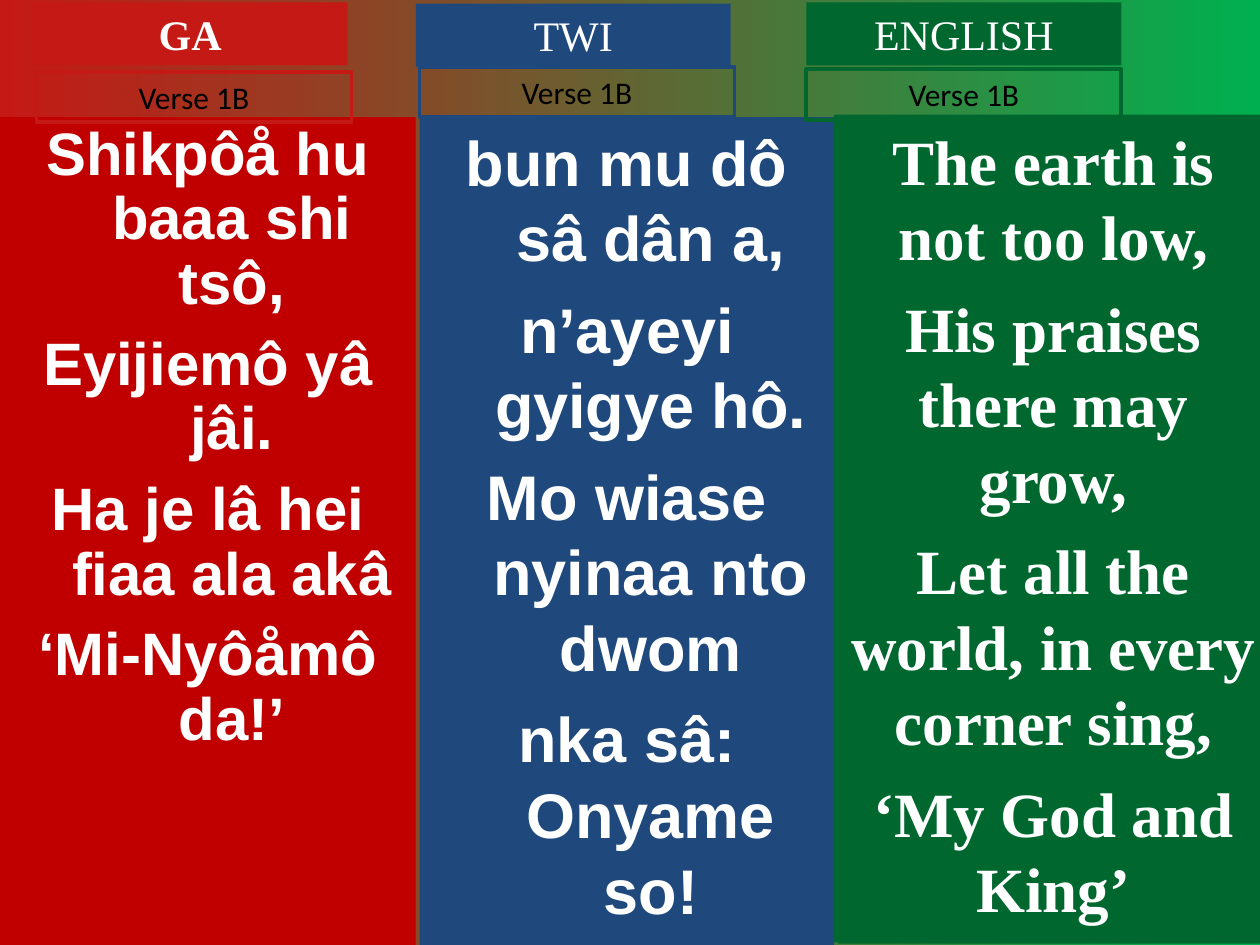
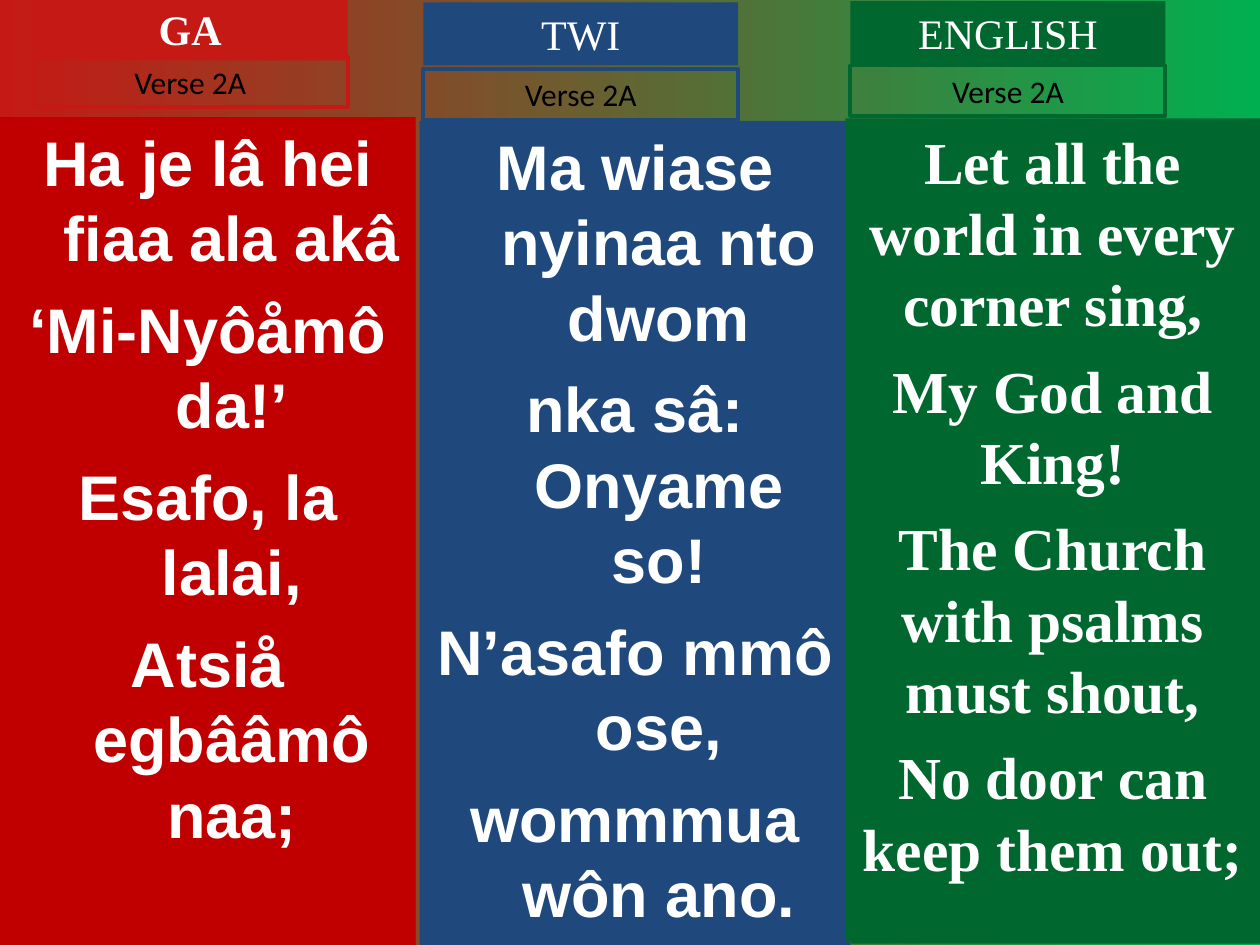
from pptx import Presentation
from pptx.dml.color import RGBColor
from pptx.enum.shapes import MSO_SHAPE as Shape
from pptx.enum.text import MSO_ANCHOR as Anchor, PP_ALIGN as Align
from pptx.util import Inches, Pt

RED, BLUE, GREEN = "C51915", "1F497D", "00682F"
DEEP, LIME, WHITE, BLACK = "C00000", "00B050", "FFFFFF", "000000"
HANG = 0.38
HEAD, VERSE = (2.5, 0.5), (2.5, 0.4)

FONTS = {
    "head": {"name": "Times New Roman", "size": Pt(24)},
    "verse": {"name": "Calibri", "size": Pt(18)},
    "sans": {"name": "Arial", "size": Pt(36), "bold": True},
    "serif": {"name": "Times New Roman", "size": Pt(36), "bold": True},
}

# Each column: title, colours, body font, and the boxes of its parts.
SLIDES = [
    ("Verse 1B", [
        {"title": "GA", "tone": RED, "fill": DEEP, "font": "sans",
         "size": 34.2, "gap": 9.2, "pitch": 0.9,
         "head": (0.26, 0.02), "verse": (0.29, 0.57),
         "panel": (0, 0.93, 3.3, 6.57),
         "lines": ["Shikpôå hu baaa shi tsô,", "Eyijiemô yâ jâi.",
                   "Ha je lâ hei fiaa ala akâ", "‘Mi-Nyôåmô da!’"]},
        {"title": "TWI", "tone": BLUE, "font": "sans",
         "head": (3.3, 0.03), "verse": (3.33, 0.53),
         "panel": (3.33, 0.93, 3.29, 6.57),
         "lines": ["bun mu dô sâ dân a,", "n’ayeyi gyigye hô.",
                   "Mo wiase nyinaa nto dwom", "nka sâ: Onyame so!"]},
        {"title": "ENGLISH", "tone": GREEN, "font": "serif",
         "head": (6.4, 0.02), "verse": (6.4, 0.55),
         "back": (6.62, 0.91, 3.42, 6.57), "panel": (6.65, 0.92, 3.42, 6.57),
         "lines": ["The earth is not too low,", "His praises there may grow,",
                   "Let all the world, in every corner sing,",
                   "‘My God and King’"]},
    ]),
    ("Verse 2A", [
        {"title": "GA", "tone": RED, "fill": DEEP, "font": "sans",
         "head": (0.26, -0.02), "verse": (0.26, 0.45),
         "panel": (0, 0.93, 3.3, 6.57),
         "lines": ["Ha je lâ hei fiaa ala akâ", "‘Mi-Nyôåmô da!’",
                   "Esafo, la lalai,", "Atsiå egbââmô naa;"]},
        {"title": "TWI", "tone": BLUE, "font": "sans",
         "head": (3.36, 0.02), "verse": (3.36, 0.55),
         "panel": (3.33, 0.96, 3.42, 6.54),
         "lines": ["Ma wiase nyinaa nto dwom", "nka sâ: Onyame so!",
                   "N’asafo mmô ose,", "wommmua wôn ano."]},
        {"title": "ENGLISH", "tone": GREEN, "font": "serif",
         "size": 34, "gap": 8.5,
         "head": (6.75, 0.01), "verse": (6.75, 0.52),
         "back": (6.75, 0.96, 3.29, 6.53), "panel": (6.71, 0.94, 3.29, 6.53),
         "lines": ["Let all the world in every corner sing,",
                   "My God and King!", "The Church with psalms must shout,",
                   "No door can keep them out;"]},
    ]),
]


def rgb(tone):
    return RGBColor.from_string(tone)


def block(slide, box, fill=None, line=None):
    shape = slide.shapes.add_shape(Shape.RECTANGLE, *map(Inches, box))
    shape.shadow.inherit = False
    if fill:
        shape.fill.solid()
        shape.fill.fore_color.rgb = rgb(fill)
    else:
        shape.fill.background()
    if line:
        shape.line.color.rgb = rgb(line)
        shape.line.width = Pt(2.25)
    else:
        shape.line.fill.background()
    shape.text_frame.word_wrap = True
    shape.text_frame.vertical_anchor = Anchor.TOP
    return shape


def write(para, text, tone, style):
    para.alignment = Align.CENTER
    run = para.add_run()
    run.text = text
    run.font.color.rgb = rgb(tone)
    for key, value in style.items():
        setattr(run.font, key, value)


def label(slide, box, text, tone, style, **paint):
    frame = block(slide, box, **paint).text_frame
    write(frame.paragraphs[0], text, tone, style)


def lyrics(slide, col):
    """Draw the tall panel with one paragraph for each line of the verse."""
    frame = block(slide, col["panel"], col.get("fill", col["tone"])).text_frame
    style = dict(FONTS[col["font"]])
    if "size" in col:
        style["size"] = Pt(col["size"])
    for i, text in enumerate(col["lines"]):
        para = frame.add_paragraph() if i else frame.paragraphs[0]
        if col["font"] == "sans":
            props = para._p.get_or_add_pPr()
            props.set("marL", str(Inches(HANG)))
            props.set("indent", str(-Inches(HANG)))
        para.line_spacing = col.get("pitch", 1.0)
        if i:
            para.space_before = Pt(col.get("gap", 9))
        write(para, text, WHITE, style)


def titles(slide, col, verse):
    head = {**FONTS["head"], "bold": col["title"] == "GA"}
    label(slide, col["head"] + HEAD, col["title"], WHITE, head,
          fill=col["tone"])
    label(slide, col["verse"] + VERSE, verse, BLACK, FONTS["verse"],
          line=col["tone"])


def column(slide, col, verse):
    if "back" in col:
        block(slide, col["back"], col["tone"])
        titles(slide, col, verse)
        lyrics(slide, col)
    else:
        lyrics(slide, col)
        titles(slide, col, verse)


def backdrop(slide):
    fill = slide.background.fill
    fill.gradient()
    fill.gradient_angle = 0
    for stop, tone in zip(fill.gradient_stops, (RED, LIME)):
        stop.color.rgb = rgb(tone)


def main():
    deck = Presentation()
    deck.slide_width, deck.slide_height = Inches(10), Inches(7.5)
    for verse, cols in SLIDES:
        slide = deck.slides.add_slide(deck.slide_layouts[6])
        backdrop(slide)
        for col in cols:
            column(slide, col, verse)
    deck.save("out.pptx")


if __name__ == "__main__":
    main()
